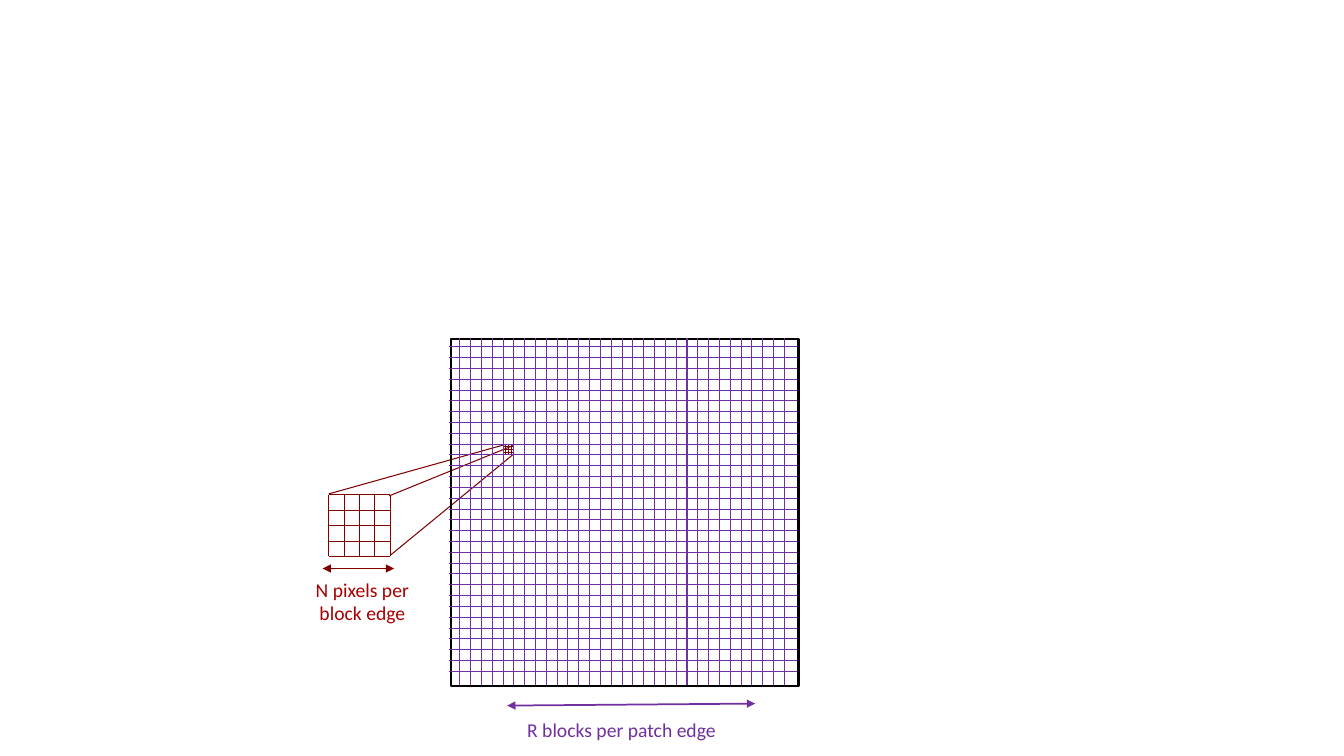
import pptx
import pptx.util
import pptx.dml.color
import pptx.enum.shapes
import pptx.enum.text
import lxml.etree
import pptx.oxml.ns

MAROON = pptx.dml.color.RGBColor(0x80, 0x00, 0x00)
RED = pptx.dml.color.RGBColor(0xA8, 0x00, 0x00)
PURPLE = pptx.dml.color.RGBColor(0x70, 0x30, 0xA0)
BLACK = pptx.dml.color.RGBColor(0x00, 0x00, 0x00)
WHITE = pptx.dml.color.RGBColor(0xFF, 0xFF, 0xFF)

PIXEL_LABEL = ("N pixels per block edge", (3.01, 5.68, 1.17, 0.57))
BLOCK_LABEL = ("R blocks per patch edge", (5.13, 7.07, 2.16, 0.31))
PIXEL_ARROW = ((3.2, 5.64), (3.91, 5.64))
BLOCK_ARROW = ((5.03, 7), (7.49, 6.98))

PATCH = (4.47, 3.36, 3.45)
MESH_LEFT, MESH_TOP, MESH_SIZE = 4.45, 3.35, 3.45
FIRST_X, FIRST_Y = 4.56, 3.44
MESH_LINES = 31
BLOCK = 3.22 / (MESH_LINES - 1)

PIXELS = 4
PICKED_COL, PICKED_ROW = 4, 9
ZOOM_LEFT, ZOOM_TOP, ZOOM_SIZE = 3.26, 4.91, 0.61
ZOOM_RAYS = [
    ((3.87, 5.51), (5.1, 4.5)),
    ((3.86, 4.92), (5.09, 4.42)),
    ((3.26, 4.9), (5.01, 4.41)),
]


def inches(values):
    return [pptx.util.Inches(v) for v in values]


def add_line(shapes, start, end, color, width=0.75, arrows=False):
    c = shapes.add_connector(
        pptx.enum.shapes.MSO_CONNECTOR.STRAIGHT, *inches(start + end))
    c.line.color.rgb = color
    c.line.width = pptx.util.Pt(width)
    if arrows:
        for tag in ("a:headEnd", "a:tailEnd"):
            lxml.etree.SubElement(
                c.line._get_or_add_ln(), pptx.oxml.ns.qn(tag), type="triangle")
    lxml.etree.SubElement(c._element.spPr, pptx.oxml.ns.qn("a:effectLst"))


def add_lattice(shapes, left, top, size, xs, ys, color):
    for y in ys:
        add_line(shapes, (left, y), (left + size, y), color)
    for x in xs:
        add_line(shapes, (x, top), (x, top + size), color)


def steps(start, step, count):
    return [start + step * i for i in range(count)]


def add_pixels(shapes, left, top, size):
    pixel = size / PIXELS
    add_lattice(shapes, left, top, size, steps(left, pixel, PIXELS + 1),
                steps(top, pixel, PIXELS + 1), MAROON)


def add_rect(shapes, box):
    sp = shapes.add_shape(
        pptx.enum.shapes.MSO_SHAPE.RECTANGLE, *inches(box))
    sp.shadow.inherit = False
    return sp


def write_label(sp, text, color, align, wrap):
    tf = sp.text_frame
    tf.word_wrap = wrap
    p = tf.paragraphs[0]
    p.text = text
    p.alignment = align
    p.font.size = pptx.util.Pt(14)
    p.font.name = "Calibri"
    p.font.color.rgb = color


def main():
    prs = pptx.Presentation()
    prs.slide_width, prs.slide_height = inches((13.33, 7.5))
    s = prs.slides.add_slide(prs.slide_layouts[6])

    zoom = s.shapes.add_group_shape().shapes
    add_pixels(zoom, FIRST_X + PICKED_COL * BLOCK,
               FIRST_Y + PICKED_ROW * BLOCK, BLOCK)
    add_pixels(zoom, ZOOM_LEFT, ZOOM_TOP, ZOOM_SIZE)
    for start, end in ZOOM_RAYS:
        add_line(zoom, start, end, MAROON)

    pixel_edge = s.shapes.add_group_shape().shapes
    text, box = PIXEL_LABEL
    sp = add_rect(pixel_edge, box)
    sp.fill.solid()
    sp.fill.fore_color.rgb = WHITE
    sp.line.fill.background()
    write_label(sp, text, RED, pptx.enum.text.PP_ALIGN.CENTER, True)
    add_line(pixel_edge, *PIXEL_ARROW, MAROON, 1.25, True)

    block_edge = s.shapes.add_group_shape().shapes
    text, box = BLOCK_LABEL
    sp = block_edge.add_textbox(*inches(box))
    write_label(sp, text, PURPLE, pptx.enum.text.PP_ALIGN.LEFT, False)
    add_line(block_edge, *BLOCK_ARROW, PURPLE, 1.25, True)

    patch = s.shapes.add_group_shape().shapes
    left, top, size = PATCH
    sp = add_rect(patch, (left, top, size, size))
    sp.fill.background()
    sp.line.color.rgb = BLACK
    sp.line.width = pptx.util.Pt(1.5)
    add_lattice(patch, MESH_LEFT, MESH_TOP, MESH_SIZE,
                steps(FIRST_X, BLOCK, MESH_LINES),
                steps(FIRST_Y, BLOCK, MESH_LINES), PURPLE)

    prs.save("out.pptx")


if __name__ == "__main__":
    main()
